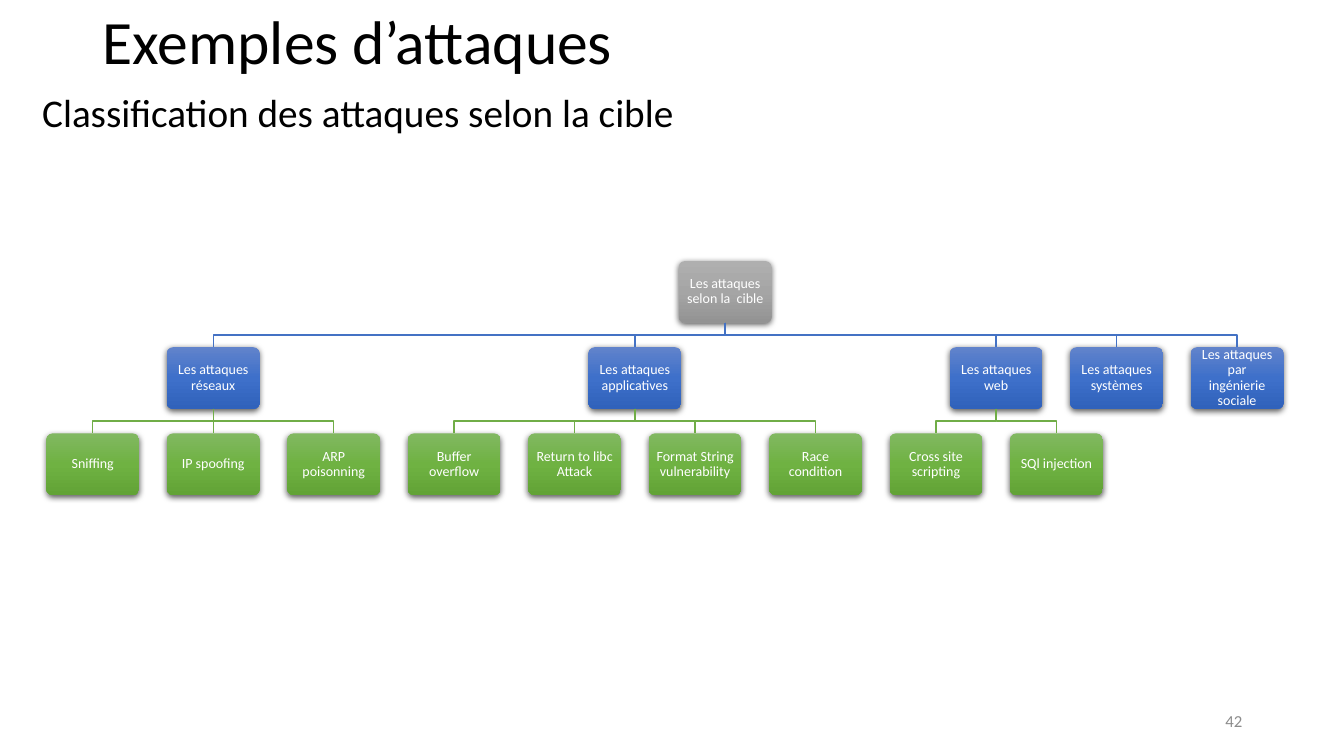
from copy import deepcopy
from dataclasses import dataclass

from pptx import Presentation, util as u
from pptx.dml.color import RGBColor
from pptx.enum import shapes, text
from pptx.oxml import parse_xml
from pptx.oxml.ns import nsdecls, qn

TITLE = "Exemples d’attaques"
LEAD = "Classification des attaques selon la cible"
PAGE = "42"
ROOT = "Les attaques selon la  cible"
TREE = [
    ("Les attaques réseaux", ["Sniffing", "IP spoofing", "ARP poisonning"]),
    ("Les attaques applicatives", [
        "Buffer overflow", "Return to libc Attack",
        "Format String vulnerability", "Race condition"]),
    ("Les attaques web", ["Cross site scripting", "SQl injection"]),
    ("Les attaques systèmes", []),
    ("Les attaques par ingénierie sociale", []),
]


@dataclass
class Theme:
    font: str = "Calibri"
    ink: str = "000000"
    pale: str = "8C8C8C"
    white: str = "FFFFFF"
    head: int = 44
    lead: int = 28
    page: int = 12
    label: int = 10
    fills: tuple = (
        ("AFAFAF", "A5A5A5", "939393"),
        ("6183CB", "3E70CA", "3062BB"),
        ("81B861", "6FB242", "62A336"),
    )
    lines: tuple = ("4472C4", "70AD47")


LOOK = Theme()
WIDE, HIGH = 13.33, 7.5
LEFT, RIGHT, TOP = 0.46, 12.73, 2.59
BOX_W, BOX_H = 0.92, 0.61
ROW = 0.855
SLOTS = 10
STEP = (RIGHT - LEFT - BOX_W) / (SLOTS - 0.5)

SHADE = (
    f'<a:outerShdw {nsdecls("a")} blurRad="57150" dist="19050" dir="5400000" '
    'algn="ctr" rotWithShape="0"><a:srgbClr val="000000">'
    '<a:alpha val="63000"/></a:srgbClr></a:outerShdw>'
)

deck = Presentation()
deck.slide_width, deck.slide_height = u.Inches(WIDE), u.Inches(HIGH)
slide = deck.slides.add_slide(deck.slide_layouts[6])
art = slide.shapes


def write(shape, words, size, color, align, anchor, lead=0.9):
    frame = shape.text_frame
    frame.text = words
    frame.word_wrap = True
    frame.vertical_anchor = anchor
    para = frame.paragraphs[0]
    para.alignment = align
    para.line_spacing = lead
    for run in para.runs:
        run.font.name = LOOK.font
        run.font.size = u.Pt(size)
        run.font.color.rgb = RGBColor.from_string(color)
    return frame


def add_text(spot, *style):
    write(art.add_textbox(*map(u.Inches, spot)), *style)


def add_box(words, slot, level):
    spot = LEFT + slot * STEP, TOP + level * ROW, BOX_W, BOX_H
    box = art.add_shape(
        shapes.MSO_SHAPE.ROUNDED_RECTANGLE, *map(u.Inches, spot))
    box.adjustments[0] = 0.1
    box.line.fill.background()
    box.shadow.inherit = False
    props = box._element.spPr
    props.find(qn("a:effectLst")).append(parse_xml(SHADE))
    box.fill.gradient()
    box.fill.gradient_angle = 270
    stops = props.find(".//" + qn("a:gsLst"))
    stops.insert(1, deepcopy(stops[0]))
    for i, (stop, tone) in enumerate(
            zip(box.fill.gradient_stops, LOOK.fills[level])):
        stop.color.rgb = RGBColor.from_string(tone)
        stop.position = i / 2
    frame = write(box, words, LOOK.label, LOOK.white,
                  text.PP_ALIGN.CENTER, text.MSO_ANCHOR.MIDDLE)
    frame.margin_left = frame.margin_right = u.Inches(0.06)
    frame.margin_top = frame.margin_bottom = u.Inches(0.06)
    return box


def join(upper, lower, level):
    x1, y1 = upper.left + upper.width // 2, upper.top + upper.height
    x2, y2 = lower.left + lower.width // 2, lower.top
    if x1 == x2:
        link = art.add_connector(shapes.MSO_CONNECTOR.STRAIGHT, x1, y1, x2, y2)
        link.begin_connect(upper, 2)
        link.end_connect(lower, 0)
        link._element.spPr.append(
            parse_xml(f'<a:effectLst {nsdecls("a")}/>'))
    else:
        mid = (y1 + y2) // 2
        path = art.build_freeform(x1, y1)
        path.add_line_segments([(x1, mid), (x2, mid), (x2, y2)], close=False)
        link = path.convert_to_shape()
        link.fill.background()
        link.shadow.inherit = False
    link.line.color.rgb = RGBColor.from_string(LOOK.lines[level])
    link.line.width = u.Pt(1)


def place(tree):
    slots, start, last = [], 0, -1
    for name, leaves in tree:
        last = start + (len(leaves) - 1) / 2 if leaves else last + 1
        slots.append((name, last, leaves, start))
        start += len(leaves)
    return slots


def main():
    add_text((0.92, 0, 11.5, 0.88), TITLE, LOOK.head, LOOK.ink,
             text.PP_ALIGN.LEFT, text.MSO_ANCHOR.MIDDLE)
    add_text((0.32, 0.88, 10.72, 6.44), LEAD, LOOK.lead, LOOK.ink,
             text.PP_ALIGN.LEFT, text.MSO_ANCHOR.TOP)
    add_text((9.42, 6.95, 3, 0.4), PAGE, LOOK.page, LOOK.pale,
             text.PP_ALIGN.RIGHT, text.MSO_ANCHOR.MIDDLE, 1.0)
    plan = place(TREE)
    root = add_box(ROOT, (plan[0][1] + plan[-1][1]) / 2, 0)
    for name, slot, leaves, start in plan:
        node = add_box(name, slot, 1)
        join(root, node, 0)
        for i, leaf in enumerate(leaves):
            join(node, add_box(leaf, start + i, 2), 1)
    deck.save("out.pptx")


if __name__ == "__main__":
    main()
